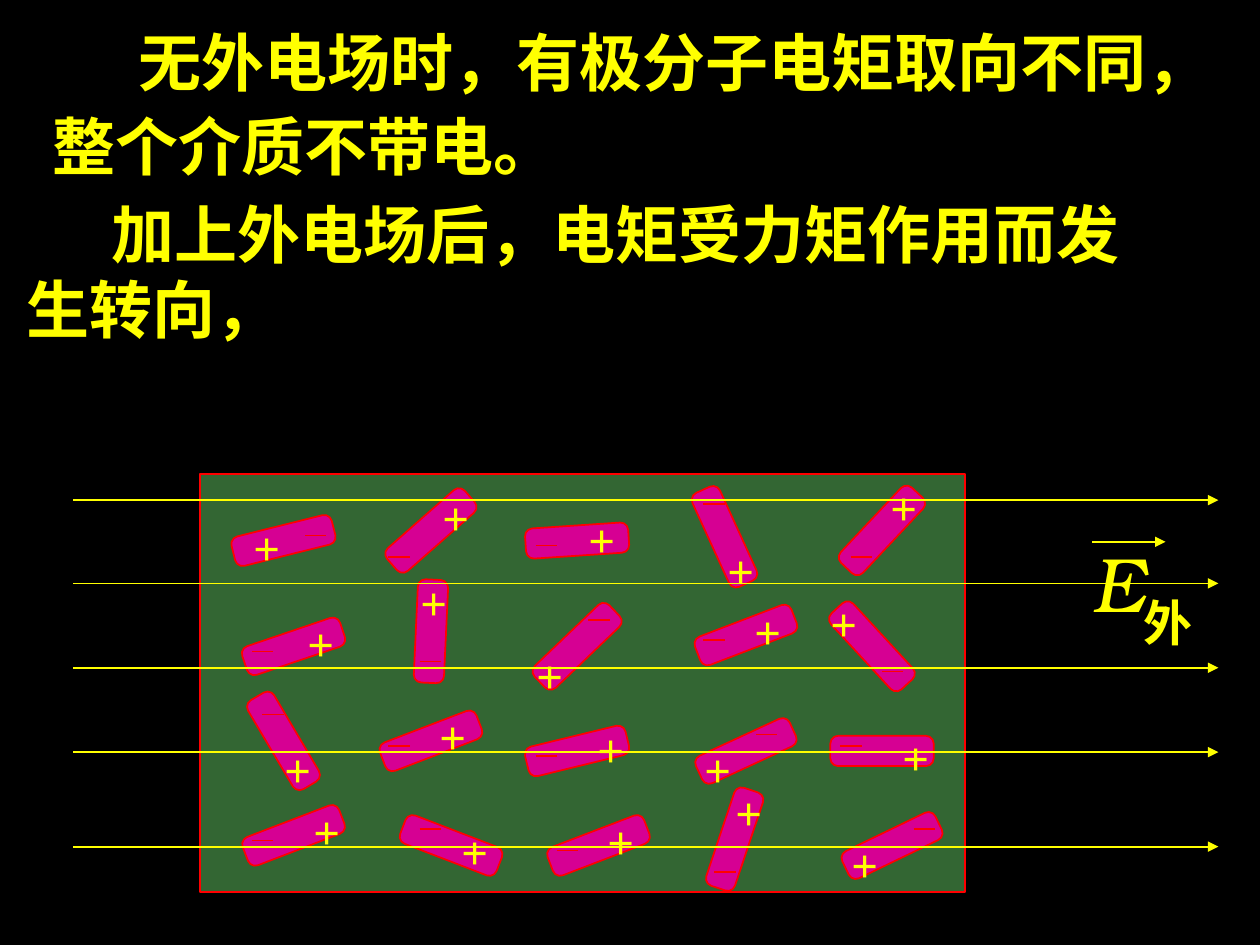
"""Build a slide on polar molecules turning in an external electric field."""
from typing import NamedTuple

import lxml.etree
import pptx
import pptx.dml.color
import pptx.enum.shapes
import pptx.enum.text
import pptx.oxml.ns
import pptx.util

Inches = pptx.util.Inches
Pt = pptx.util.Pt
qn = pptx.oxml.ns.qn
RGBColor = pptx.dml.color.RGBColor
MSO_SHAPE = pptx.enum.shapes.MSO_SHAPE

BLACK = RGBColor(0x00, 0x00, 0x00)
YELLOW = RGBColor(0xFF, 0xFF, 0x00)
RED = RGBColor(0xFF, 0x00, 0x00)
GREEN = RGBColor(0x33, 0x66, 0x33)
MAGENTA = RGBColor(0xD6, 0x00, 0x93)
FONT = "TeX Gyre Bonum"
ROD_W, ROD_H = 0.82, 0.24
PLUS_W, PLUS_H = 0.4, 0.5
MINUS_W = 0.17
FIRST_INDENT = 0.68
FIELD_LEFT, FIELD_RIGHT = 0.58, 9.67
FIELD_YS = (3.97, 4.63, 5.3, 5.97, 6.72)


class Dipole(NamedTuple):
    """A molecule: its rod, the corner of its plus and the start of its minus."""
    left: float
    top: float
    angle: float
    plus_x: float
    plus_y: float
    minus_x: float
    minus_y: float


class Label(NamedTuple):
    """Text lines in a box, with their font settings."""
    left: float
    top: float
    width: float
    height: float
    lines: tuple[str, ...]
    size: int
    bold: bool = False
    italic: bool = False
    indent: float = 0
    spacing: float = 1.0


DIPOLES = (
    Dipole(1.84, 4.17, 346, 1.92, 4.07, 2.42, 4.25),
    Dipole(3.01, 4.09, 318.7, 3.42, 3.83, 3.08, 4.42),
    Dipole(4.17, 4.17, 176.2, 4.58, 4, 4.25, 4.33),
    Dipole(5.34, 4.14, 65.4, 5.68, 4.25, 5.58, 4),
    Dipole(6.59, 4.09, 313.2, 6.98, 3.75, 6.75, 4.42),
    Dipole(1.92, 5.01, 161.3, 2.35, 4.83, 2, 5.17),
    Dipole(3.01, 4.89, 92.6, 3.25, 4.5, 3.33, 5.25),
    Dipole(4.17, 5.01, 136.2, 4.17, 5.08, 4.67, 4.92),
    Dipole(5.51, 4.92, 339, 5.9, 4.73, 5.58, 5.08),
    Dipole(6.51, 5.01, 47.3, 6.5, 4.67, 7, 5.33),
    Dipole(1.84, 5.76, 59.4, 2.17, 5.83, 2.08, 5.67),
    Dipole(3.01, 5.76, 339, 3.4, 5.57, 3.08, 5.92),
    Dipole(4.17, 5.84, 346.3, 4.65, 5.67, 4.25, 6),
    Dipole(5.51, 5.84, 155.2, 5.5, 5.83, 6, 5.83),
    Dipole(6.59, 5.84, 0, 7.07, 5.73, 6.67, 5.92),
    Dipole(1.92, 6.51, 339, 2.4, 6.32, 2, 6.67),
    Dipole(3.17, 6.59, 201, 3.57, 6.48, 3.33, 6.58),
    Dipole(4.34, 6.59, 339, 4.73, 6.4, 4.42, 6.75),
    Dipole(5.42, 6.54, 108.5, 5.75, 6.17, 5.67, 6.92),
    Dipole(6.67, 6.59, 154.2, 6.67, 6.58, 7.25, 6.58),
)
TITLE = Label(0.32, 0.08, 9.48, 1.42,
              ("无外电场时，有极分子电矩取向不同，", "整个介质不带电。"),
              36, bold=True, indent=FIRST_INDENT, spacing=1.1)
LABELS = (
    Label(0.11, 1.5, 8.98, 1.3,
          ("加上外电场后，电矩受力矩作用而发", "生转向，"),
          36, bold=True, indent=FIRST_INDENT),
    Label(8.57, 4.2, 0.62, 0.83, ("E",), 44, italic=True),
    Label(8.98, 4.65, 0.59, 0.57, ("外",), 28, bold=True),
)


def write_text(sp, label: Label) -> None:
    tf = sp.text_frame
    tf.word_wrap = True
    tf.auto_size = pptx.enum.text.MSO_AUTO_SIZE.NONE
    tf.vertical_anchor = pptx.enum.text.MSO_ANCHOR.TOP
    tf.text = "\n".join(label.lines)
    for p in tf.paragraphs:
        p.alignment = pptx.enum.text.PP_ALIGN.LEFT
        p.line_spacing = label.spacing
        p.font.name = FONT
        p.font.size = Pt(label.size)
        p.font.bold = label.bold
        p.font.italic = label.italic
        p.font.color.rgb = YELLOW
    if label.indent:
        pPr = tf.paragraphs[0]._p.get_or_add_pPr()
        pPr.set("marL", "0")
        pPr.set("indent", str(Inches(label.indent)))


def add_label(s, label: Label) -> None:
    sp = s.shapes.add_textbox(Inches(label.left), Inches(label.top),
                              Inches(label.width), Inches(label.height))
    write_text(sp, label)


def add_block(s, kind: MSO_SHAPE, left: float, top: float, width: float,
              height: float, fill: RGBColor):
    sp = s.shapes.add_shape(kind, Inches(left), Inches(top),
                            Inches(width), Inches(height))
    sp.shadow.inherit = False
    sp.fill.solid()
    sp.fill.fore_color.rgb = fill
    sp.line.color.rgb = RED
    sp.line.width = Pt(1)
    return sp


def add_line(s, left: float, right: float, y: float, color: RGBColor,
             arrow: bool = False) -> None:
    cn = s.shapes.add_connector(pptx.enum.shapes.MSO_CONNECTOR.STRAIGHT,
                                Inches(left), Inches(y), Inches(right), Inches(y))
    cn.line.color.rgb = color
    cn.line.width = Pt(1)
    if arrow:
        lxml.etree.SubElement(cn.line._get_or_add_ln(), qn("a:tailEnd"), type="triangle")
    lxml.etree.SubElement(cn._element.spPr, qn("a:effectLst"))


def add_dipole(s, d: Dipole) -> None:
    sp = add_block(s, MSO_SHAPE.ROUNDED_RECTANGLE, d.left, d.top, ROD_W, ROD_H, MAGENTA)
    sp.adjustments[0] = 0.255
    sp.rotation = d.angle
    add_label(s, Label(d.plus_x, d.plus_y, PLUS_W, PLUS_H, ("+",), 24))
    add_line(s, d.minus_x, d.minus_x + MINUS_W, d.minus_y, RED)


def main() -> None:
    prs = pptx.Presentation()
    prs.slide_width, prs.slide_height = Inches(10), Inches(7.5)
    s = prs.slides.add_slide(prs.slide_layouts[5])
    s.background.fill.solid()
    s.background.fill.fore_color.rgb = BLACK

    title = s.shapes.title
    title.left, title.top = Inches(TITLE.left), Inches(TITLE.top)
    title.width, title.height = Inches(TITLE.width), Inches(TITLE.height)
    write_text(title, TITLE)

    add_block(s, MSO_SHAPE.RECTANGLE, 1.59, 3.76, 6.07, 3.32, GREEN)
    for dipole in DIPOLES:
        add_dipole(s, dipole)
    for y in FIELD_YS:
        add_line(s, FIELD_LEFT, FIELD_RIGHT, y, YELLOW, arrow=True)
    for label in LABELS:
        add_label(s, label)
    add_line(s, 8.67, 9.25, 4.3, YELLOW, arrow=True)
    prs.save("out.pptx")


if __name__ == "__main__":
    main()
